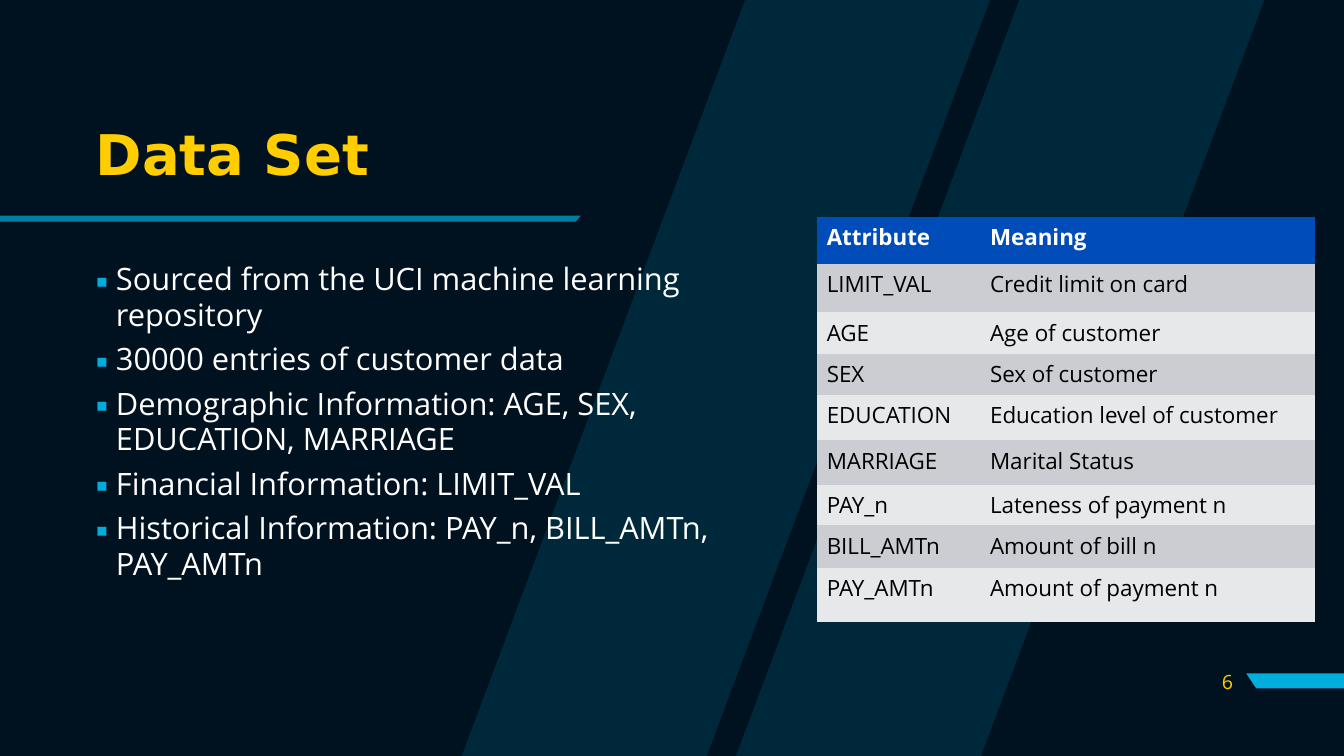
import pptx
import pptx.dml.color
import pptx.enum.text
import pptx.oxml.ns
import pptx.util
from lxml import etree

COLORS = {
    "night": "00111F", "cyan": "00AEDE", "gold": "FFCD00", "white": "FFFFFF",
    "black": "000000", "header": "004CB9", "odd": "CCCDD3", "even": "E7E8EA",
}
UNIT = pptx.util.Inches(0.1)
PLAIN_TABLE = "{2D5ABB26-0587-4C30-8999-92F81FD0307C}"
BULLETS = [
    "Sourced from the UCI machine learning repository",
    "30000 entries of customer data",
    "Demographic Information: AGE, SEX, EDUCATION, MARRIAGE",
    "Financial Information: LIMIT_VAL",
    "Historical Information: PAY_n, BILL_AMTn, PAY_AMTn",
]
ATTRIBUTES = [
    ("Attribute", "Meaning"),
    ("LIMIT_VAL", "Credit limit on card"),
    ("AGE", "Age of customer"),
    ("SEX", "Sex of customer"),
    ("EDUCATION", "Education level of customer"),
    ("MARRIAGE", "Marital Status"),
    ("PAY_n", "Lateness of payment n"),
    ("BILL_AMTn", "Amount of bill n"),
    ("PAY_AMTn", "Amount of payment n"),
]


def grid(*lengths):
    return [round(length * UNIT) for length in lengths]


def add_xml(parent, tag, **attributes):
    return etree.SubElement(parent, pptx.oxml.ns.qn(tag), **attributes)


class SlideBuilder:
    """Holds the style and the current slide, measured on a grid of 0.1 inch."""

    def __init__(self, deck, font):
        self.font = font
        self.page = deck.slides.add_slide(deck.slide_layouts[1])
        self.paint(self.page.background.fill, "night")

    def paint(self, fill, color):
        fill.solid()
        fill.fore_color.rgb = pptx.dml.color.RGBColor.from_string(COLORS[color])

    def add_text(self, para, text, size, color, bold=False, font=None):
        span = para.add_run()
        span.text = text
        span.font.name = font or self.font
        span.font.size = pptx.util.Pt(size)
        span.font.bold = bold
        span.font.color.rgb = pptx.dml.color.RGBColor.from_string(COLORS[color])

    def place(self, box, area):
        box.left, box.top, box.width, box.height = grid(*area)
        box.text_frame.word_wrap = True
        box.text_frame.auto_size = pptx.enum.text.MSO_AUTO_SIZE.NONE
        return box.text_frame

    def outline(self, contours, color, opacity=100):
        first, *others = [[grid(*point) for point in contour] for contour in contours]
        builder = self.page.shapes.build_freeform(*first[0])
        builder.add_line_segments(first[1:])
        for contour in others:
            builder.move_to(*contour[0])
            builder.add_line_segments(contour[1:])
        shape = builder.convert_to_shape()
        shape.shadow.inherit = False
        shape.line.fill.background()
        self.paint(shape.fill, color)
        tint = shape._element.spPr.find(".//" + pptx.oxml.ns.qn("a:srgbClr"))
        add_xml(tint, "a:alpha", val=str(opacity * 1000))
        self.page.shapes.title._element.addprevious(shape._element)

    def title(self, text, area):
        frame = self.place(self.page.shapes.title, area)
        frame.vertical_anchor = pptx.enum.text.MSO_ANCHOR.MIDDLE
        para = frame.paragraphs[0]
        para.alignment = pptx.enum.text.PP_ALIGN.LEFT
        para.line_spacing = 0.9
        self.add_text(para, text, 40, "gold", bold=True, font="DejaVu Sans")

    def bullets(self, items, area):
        frame = self.place(self.page.placeholders[1], area)
        for index, item in enumerate(items):
            para = frame.add_paragraph() if index else frame.paragraphs[0]
            para.line_spacing = 0.97
            para.space_before = pptx.util.Pt(6)
            marks = para._p.get_or_add_pPr()
            indent = pptx.util.Inches(0.2)
            marks.set("marL", str(int(indent)))
            marks.set("indent", str(-int(indent)))
            add_xml(add_xml(marks, "a:buClr"), "a:srgbClr", val=COLORS["cyan"])
            add_xml(marks, "a:buFont", typeface=self.font)
            add_xml(marks, "a:buChar", char="▪")
            self.add_text(para, item, 22, "white")

    def number(self, text, area):
        frame = self.place(self.page.shapes.add_textbox(0, 0, 0, 0), area)
        frame.vertical_anchor = pptx.enum.text.MSO_ANCHOR.MIDDLE
        para = frame.paragraphs[0]
        para.alignment = pptx.enum.text.PP_ALIGN.RIGHT
        self.add_text(para, text, 14, "gold")

    def table(self, rows, corner, widths, heights):
        area = grid(*corner, sum(widths), sum(heights))
        table = self.page.shapes.add_table(len(rows), len(widths), *area).table
        table._tbl.tblPr.find(pptx.oxml.ns.qn("a:tableStyleId")).text = PLAIN_TABLE
        for column, width in zip(table.columns, grid(*widths)):
            column.width = width
        for row, height in zip(table.rows, grid(*heights)):
            row.height = height
        for index, texts in enumerate(rows):
            is_header = index == 0
            fill = "header" if is_header else "odd" if index % 2 else "even"
            color = "white" if is_header else "black"
            for cell, text in zip(table.rows[index].cells, texts):
                self.paint(cell.fill, fill)
                self.add_text(cell.text_frame.paragraphs[0], text, 16, color, is_header)


def main():
    deck = pptx.Presentation()
    deck.slide_width = pptx.util.Inches(13.33)
    deck.slide_height = pptx.util.Inches(7.5)
    slide = SlideBuilder(deck, "Open Sans")
    band = [(73.9, 0), (98.2, 0), (70.1, 75), (45.8, 75)]
    bands = [[(x + shift, y) for x, y in band] for shift in (0, 27.2)]
    slide.outline(bands, "cyan", 15)
    slide.outline([[(123.6, 66.8), (133.3, 66.8), (133.3, 68.3), (124.6, 68.3)]], "cyan")
    slide.outline([[(0, 21.4), (57.6, 21.4), (57.1, 22), (0, 22)]], "cyan", 70)
    slide.title("Data Set", (8.5, 11.3, 55.3, 8.6))
    slide.bullets(BULLETS, (8.5, 25.5, 70.1, 44.1))
    slide.number("6", (117.3, 65.6, 6, 4))
    heights = (4.7, 4.8, 4.1, 4.1, 4.5, 4.4, 4, 4.2, 5.4)
    slide.table(ATTRIBUTES, (81, 21.5), (16.2, 33.2), heights)
    deck.save("out.pptx")


if __name__ == "__main__":
    main()
